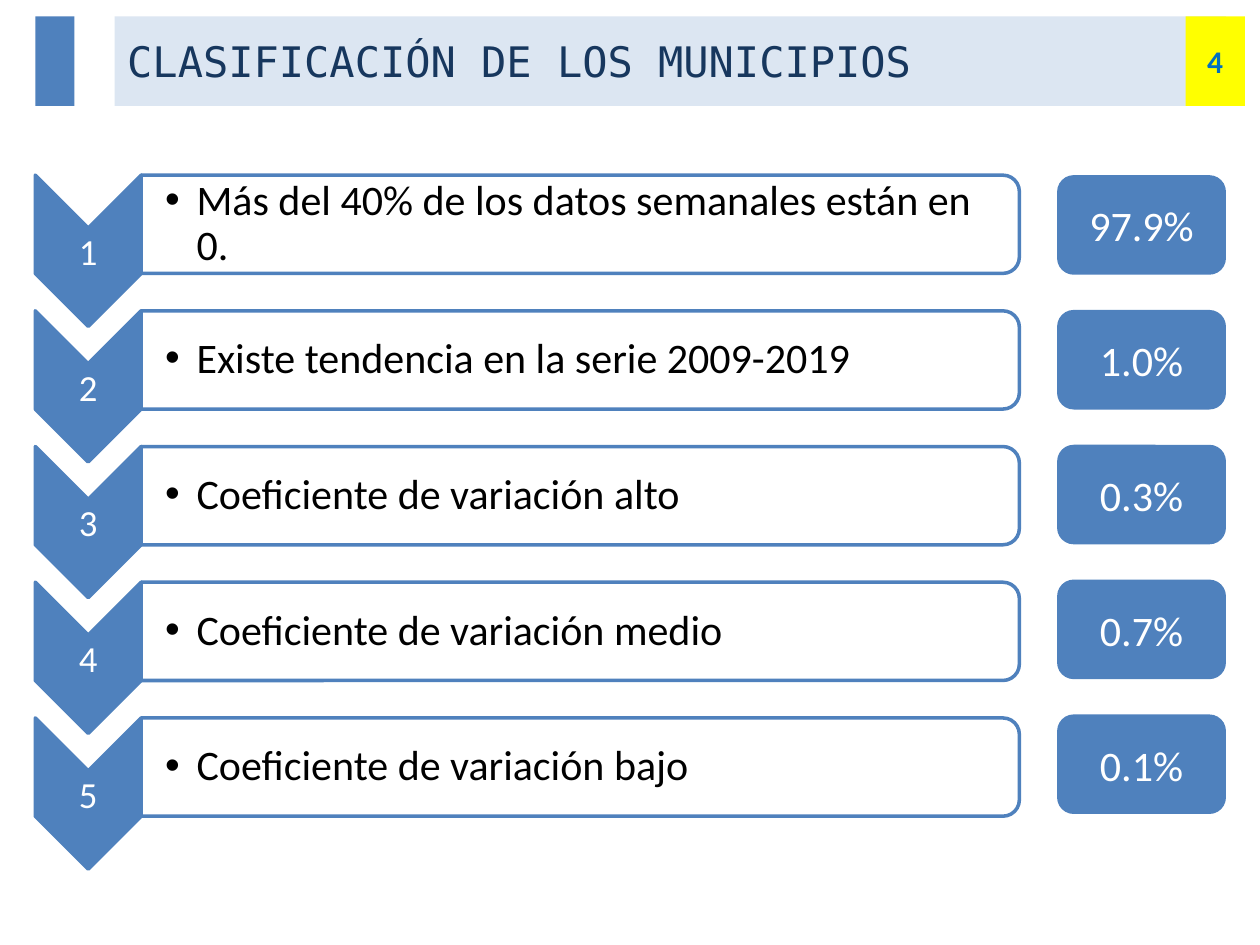
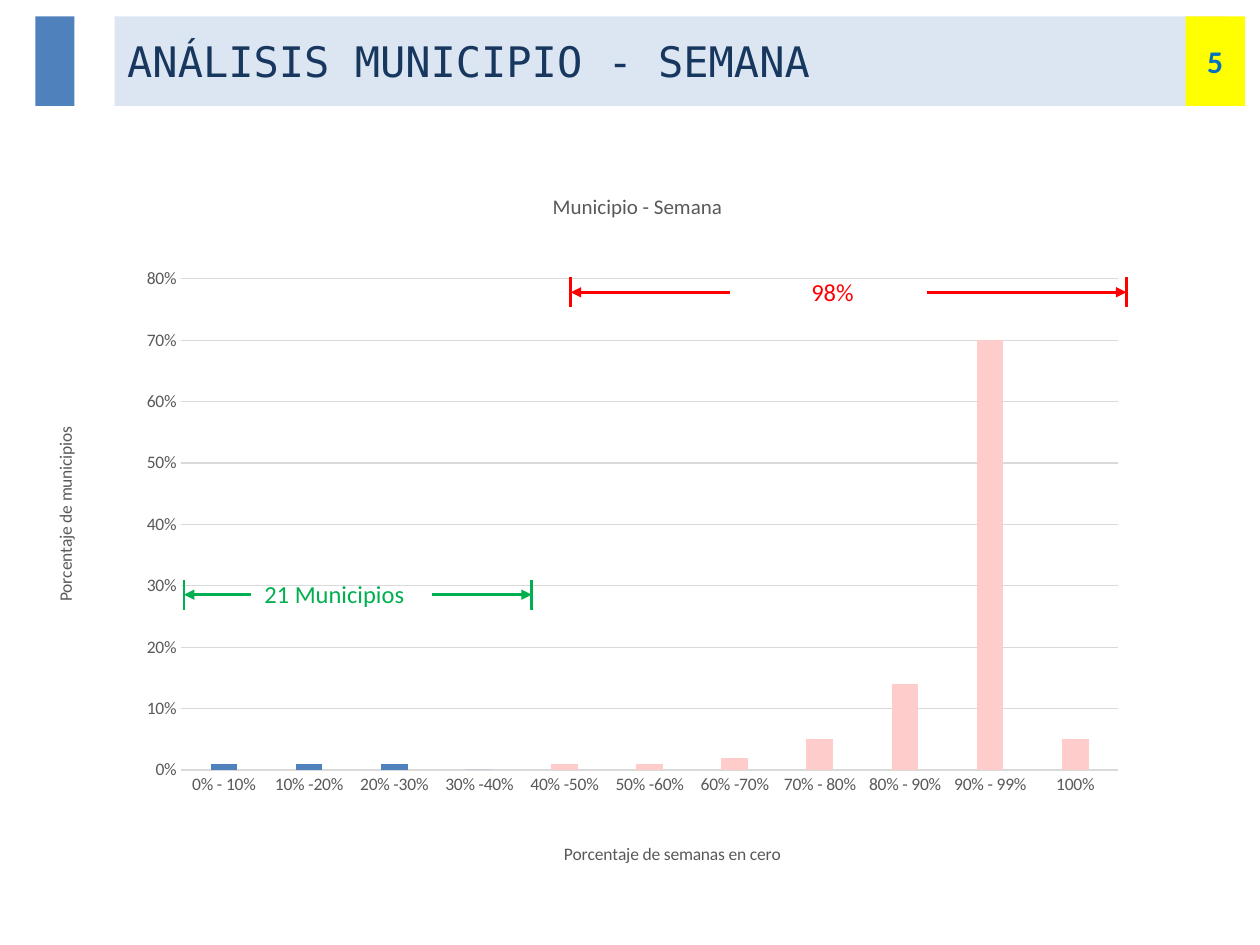
from pptx import Presentation
from pptx.chart.data import CategoryChartData
from pptx.dml.color import RGBColor
from pptx.enum.chart import XL_CHART_TYPE, XL_TICK_MARK
from pptx.enum.shapes import MSO_CONNECTOR, MSO_SHAPE
from pptx.enum.text import MSO_ANCHOR, PP_ALIGN
from pptx.oxml.ns import qn
from pptx.util import Inches, Pt
from lxml import etree

RECT, ROUND = MSO_SHAPE.RECTANGLE, MSO_SHAPE.ROUNDED_RECTANGLE
CHEVRON, TAB = MSO_SHAPE.CHEVRON, MSO_SHAPE.ROUND_2_SAME_RECTANGLE
LEFT, CENTER = PP_ALIGN.LEFT, PP_ALIGN.CENTER
TOP, MIDDLE = MSO_ANCHOR.TOP, MSO_ANCHOR.MIDDLE
COLUMN, NO_TICK = XL_CHART_TYPE.COLUMN_CLUSTERED, XL_TICK_MARK.NONE
STRAIGHT = MSO_CONNECTOR.STRAIGHT

BLUE = RGBColor(0x4F, 0x81, 0xBD)
PALE = RGBColor(0xDC, 0xE6, 0xF2)
NAVY = RGBColor(0x17, 0x37, 0x5E)
AZURE = RGBColor(0x00, 0x70, 0xC0)
YELLOW = RGBColor(0xFF, 0xFF, 0x00)
PINK = RGBColor(0xFF, 0xCC, 0xCC)
RED = RGBColor(0xFF, 0x00, 0x00)
GREEN = RGBColor(0x00, 0xB0, 0x50)
GRAY = RGBColor(0x59, 0x59, 0x59)
SILVER = RGBColor(0xD9, 0xD9, 0xD9)
BLACK = RGBColor(0x00, 0x00, 0x00)
WHITE = RGBColor(0xFF, 0xFF, 0xFF)

SANS, MONO = "Calibri", "DejaVu Sans Mono"
COLS, ROWS = 100, 75
BAND_TOP, BAND_HIGH = 1.3, 7.1

STEPS = [
    ("Más del 40% de los datos semanales están en 0.", "97.9%"),
    ("Existe tendencia en la serie 2009-2019", "1.0%"),
    ("Coeficiente de variación alto", "0.3%"),
    ("Coeficiente de variación medio", "0.7%"),
    ("Coeficiente de variación bajo", "0.1%"),
]
WEEKS = {
    "0% - 10%": 0.01, "10% -20%": 0.01, "20% -30%": 0.01, "30% -40%": 0,
    "40% -50%": 0.01, "50% -60%": 0.01, "60% -70%": 0.02, "70% - 80%": 0.05,
    "80% - 90%": 0.14, "90% - 99%": 0.7, "100%": 0.05,
}
FIRST_PINK = 4


def set_font(font, size, color, name=SANS, bold=False):
    font.size, font.name, font.bold = Pt(size), name, bold
    font.color.rgb = color


def lay_out(parent, index, **parts):
    for old in parent.findall(qn("c:layout")):
        parent.remove(old)
    layout = etree.Element(qn("c:layout"))
    manual = etree.SubElement(layout, qn("c:manualLayout"))
    if "w" in parts:
        etree.SubElement(manual, qn("c:layoutTarget"), val="inner")
    for key in ("x", "y"):
        etree.SubElement(manual, qn(f"c:{key}Mode"), val="edge")
    for key, share in parts.items():
        etree.SubElement(manual, qn(f"c:{key}"), val=str(share))
    parent.insert(index, layout)


class Deck:
    def __init__(self):
        self.show = Presentation()
        self.show.slide_width, self.show.slide_height = Inches(10), Inches(7.5)
        self.col = self.show.slide_width / COLS
        self.row = self.show.slide_height / ROWS
        self.slide = None

    def area(self, x, y, w, h):
        return (round(x * self.col), round(y * self.row),
                round(w * self.col), round(h * self.row))

    def start(self, title, number):
        self.slide = self.show.slides.add_slide(self.show.slide_layouts[5])
        head = self.slide.shapes.title
        head.left, head.top, head.width, head.height = self.area(
            9.1, BAND_TOP, 88.2, BAND_HIGH)
        head.fill.solid()
        head.fill.fore_color.rgb = PALE
        self.set_text(head, title, 24, NAVY, LEFT, name=MONO)
        self.box(RECT, 2.8, BAND_TOP, 3.1, BAND_HIGH, BLUE)
        badge = self.box(RECT, 94.1, BAND_TOP, 4.7, BAND_HIGH, YELLOW)
        self.set_text(badge, str(number), 18, AZURE, bold=True)

    def set_text(self, shape, text, size, color, align=CENTER, anchor=MIDDLE,
                 name=SANS, bold=False):
        frame = shape.text_frame
        frame.text, frame.word_wrap = text, True
        frame.vertical_anchor = anchor
        par = frame.paragraphs[0]
        par.alignment = align
        set_font(par.font, size, color, name, bold)
        return par

    def box(self, kind, x, y, w, h, fill, line=None, turn=0):
        if turn:
            x, y, w, h = x + (w - h) / 2, y + (h - w) / 2, h, w
        shape = self.slide.shapes.add_shape(kind, *self.area(x, y, w, h))
        shape.rotation = turn
        shape.shadow.inherit = False
        shape.fill.solid()
        shape.fill.fore_color.rgb = fill
        if line is None:
            shape.line.fill.background()
        else:
            shape.line.color.rgb, shape.line.width = line, Pt(2)
        return shape

    def label(self, x, y, w, h, text, size, color, align=LEFT, anchor=TOP,
              inset=None):
        shape = self.slide.shapes.add_textbox(*self.area(x, y, w, h))
        if inset is not None:
            frame = shape.text_frame
            frame.margin_left = Inches(inset)
            frame.margin_right = frame.margin_top = frame.margin_bottom = Inches(0.02)
        return self.set_text(shape, text, size, color, align, anchor)

    def bullet(self, par):
        par.line_spacing = 0.9
        props = par._p.get_or_add_pPr()
        props.set("marL", str(Inches(0.25)))
        props.set("indent", str(-Inches(0.25)))
        fonts = props.find(qn("a:defRPr"))
        fonts.addprevious(etree.Element(qn("a:buFont"), typeface="Arial"))
        fonts.addprevious(etree.Element(qn("a:buChar"), char="•"))

    def line(self, x1, y1, x2, y2, color, arrow=False):
        ends = self.area(x1, y1, x2, y2)
        link = self.slide.shapes.add_connector(STRAIGHT, *ends)
        link.line.color.rgb, link.line.width = color, Pt(1.5)
        props = link._element.spPr
        if arrow:
            etree.SubElement(props.find(qn("a:ln")), qn("a:tailEnd"), type="triangle")
        etree.SubElement(props, qn("a:effectLst"))

    def span(self, y, left, right, gap_left, gap_right, color):
        for end, start in ((left, gap_left), (right, gap_right)):
            self.line(end, y - 1.2, end, y + 1.2, color)
            self.line(start, y, end, y, color, arrow=True)

    def step(self, index, text, share):
        y = 13.9 + 10.77 * index
        self.box(CHEVRON, 2.8, y, 8.4, 12, BLUE, BLUE, turn=90)
        self.label(2.8, y + 4.2, 8.4, 3.6, str(index + 1), 21, WHITE,
                   CENTER, MIDDLE, 0.02)
        self.box(TAB, 11.2, y, 69.7, 7.8, WHITE, BLUE, turn=90)
        self.bullet(self.label(11.2, y + 0.35, 69.3, 7.1, text, 24, BLACK,
                               LEFT, MIDDLE, 0.19))
        pill = self.box(ROUND, 83.9, 13.9 + 10.7 * index, 13.4, 7.9, BLUE)
        self.set_text(pill, share, 24, WHITE)

    def caption(self, title, text, size, x, y):
        frame = title.text_frame
        frame.text = text
        set_font(frame.paragraphs[0].font, size, GRAY)
        lay_out(title._element, 1, x=x, y=y)

    def chart(self, x, y, w, h, values):
        data = CategoryChartData(number_format="0%")
        data.categories = list(values)
        data.add_series("Series 1", list(values.values()))
        chart = self.slide.shapes.add_chart(COLUMN, *self.area(x, y, w, h), data).chart
        set_font(chart.font, 10, GRAY)
        chart.has_legend, chart.has_title = False, True
        self.caption(chart.chart_title, "Municipio - Semana", 12, 0.43, 0.02)
        cats, vals = chart.category_axis, chart.value_axis
        self.caption(cats.axis_title, "Porcentaje de semanas en cero", 10, 0.44, 0.96)
        self.caption(vals.axis_title, "Porcentaje de municipios", 10, 0.01, 0.36)
        for axis in (cats, vals):
            axis.major_tick_mark = axis.minor_tick_mark = NO_TICK
            set_font(axis.tick_labels.font, 10, GRAY)
        vals.minimum_scale, vals.maximum_scale, vals.major_unit = 0, 0.8, 0.1
        vals.tick_labels.number_format = "0%"
        vals.tick_labels.number_format_is_linked = False
        vals.format.line.fill.background()
        for rule in (cats.format.line, vals.major_gridlines.format.line):
            rule.color.rgb, rule.width = SILVER, Pt(0.75)
        plot = chart.plots[0]
        plot.gap_width, plot.overlap, plot.vary_by_categories = 219, -27, False
        bars = plot.series[0]
        bars.format.fill.solid()
        bars.format.fill.fore_color.rgb = BLUE
        for index in range(FIRST_PINK, len(values)):
            fill = bars.points[index].format.fill
            fill.solid()
            fill.fore_color.rgb = PINK
        area = chart._chartSpace.find(".//" + qn("c:plotArea"))
        lay_out(area, 0, x=0.12, y=0.15, w=0.79, h=0.71)


def main():
    deck = Deck()
    deck.start("CLASIFICACIÓN DE LOS MUNICIPIOS", 4)
    for index, (text, share) in enumerate(STEPS):
        deck.step(index, text, share)

    deck.start("ANÁLISIS MUNICIPIO - SEMANA", 5)
    deck.chart(3.1, 13.9, 94.1, 55.1, WEEKS)
    deck.span(23.2, 45.3, 89.4, 57.9, 73.6, RED)
    deck.label(63.4, 21.5, 7.9, 3.4, "98%", 14, RED)
    deck.span(47.2, 14.6, 42.2, 19.9, 34.3, GREEN)
    deck.label(20, 45.5, 16.8, 3.4, "21 Municipios", 14, GREEN)
    deck.show.save("out.pptx")


if __name__ == "__main__":
    main()
